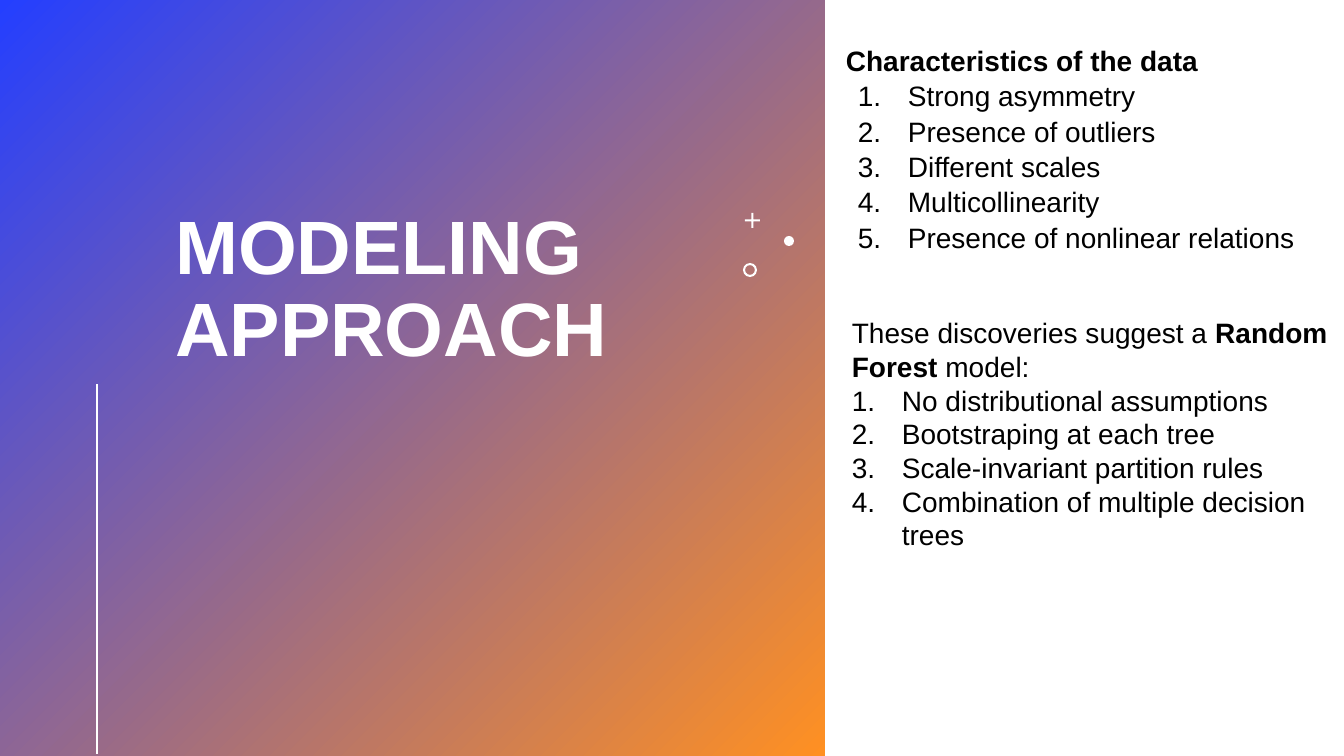
import pptx
import pptx.util
import pptx.dml.color
import pptx.enum.shapes
import pptx.enum.text
import pptx.oxml
import pptx.oxml.ns

SCALE = 914400 / 100.8
FONT = "Arial"
COLOURS = {"blue": "243FFF", "orange": "FF9022", "white": "FFFFFF", "black": "000000"}
SHAPES = pptx.enum.shapes.MSO_SHAPE


def px(length):
    return pptx.util.Emu(round(length * SCALE))


def colour(name):
    return pptx.dml.color.RGBColor.from_string(COLOURS[name])


class Painter:
    def __init__(self, deck):
        self.page = deck.slides.add_slide(deck.slide_layouts[5])

    def add_span(self, para, text, size, ink, bold=False):
        span = para.add_run()
        span.text = text
        span.font.name = FONT
        span.font.size = pptx.util.Pt(size)
        span.font.bold = bold
        span.font.color.rgb = colour(ink)

    def number(self, para, indent, hanging):
        properties = para._p.get_or_add_pPr()
        properties.set("marL", str(px(indent)))
        properties.set("indent", str(-px(hanging)))
        for tag, attribute, value in (("a:buFont", "typeface", "+mj-lt"),
                                      ("a:buAutoNum", "type", "arabicPeriod")):
            bullet = pptx.oxml.parse_xml(f"<{tag} {pptx.oxml.ns.nsdecls('a')}/>")
            bullet.set(attribute, value)
            properties.append(bullet)

    def title(self, text, left, top, width, height):
        box = self.page.shapes.title
        box.left, box.top, box.width, box.height = map(px, (left, top, width, height))
        frame = box.text_frame
        frame.word_wrap = True
        frame.auto_size = pptx.enum.text.MSO_AUTO_SIZE.NONE
        frame.vertical_anchor = pptx.enum.text.MSO_ANCHOR.BOTTOM
        para = frame.paragraphs[0]
        para.alignment = pptx.enum.text.PP_ALIGN.LEFT
        para.line_spacing = 0.9
        self.add_span(para, text, 54, "white", True)

    def shape(self, kind, left, top, width, height, adjustment=None):
        item = self.page.shapes.add_shape(kind, *map(px, (left, top, width, height)))
        item.shadow.inherit = False
        item.line.fill.background()
        item.fill.solid()
        item.fill.fore_color.rgb = colour("white")
        if adjustment is not None:
            item.adjustments[0] = adjustment
        return item

    def gradient_panel(self, left, top, width, height, start, end):
        panel = self.shape(SHAPES.RECTANGLE, left, top, width, height)
        panel.fill.gradient()
        panel.fill.gradient_angle = 315
        for stop, position, name in zip(panel.fill.gradient_stops, (0, 1), (start, end)):
            stop.position = position
            stop.color.rgb = colour(name)
        self.page.shapes.title._element.addprevious(panel._element)

    def line(self, left, top, right, bottom):
        rule = self.page.shapes.add_connector(
            pptx.enum.shapes.MSO_CONNECTOR.STRAIGHT, *map(px, (left, top, right, bottom)))
        rule.line.color.rgb = colour("white")
        rule.line.width = pptx.util.Pt(2)
        rule._element.spPr.append(pptx.oxml.parse_xml(
            f"<a:effectLst {pptx.oxml.ns.nsdecls('a')}/>"))

    def numbered_text(self, left, top, width, height, heading, items, indent,
                      spacing=None, after=None):
        box = self.page.shapes.add_textbox(*map(px, (left, top, width, height)))
        frame = box.text_frame
        frame.word_wrap = True
        for index, spans in enumerate([heading] + [[(item, False)] for item in items]):
            para = frame.add_paragraph() if index else frame.paragraphs[0]
            if spacing:
                para.line_spacing = spacing
                para.space_after = pptx.util.Pt(after)
            if index:
                self.number(para, indent, 50)
            for text, bold in spans:
                self.add_span(para, text, 20, "black", bold)


def main():
    deck = pptx.Presentation()
    deck.slide_width, deck.slide_height = px(1344), px(756)
    painter = Painter(deck)
    painter.gradient_panel(0, 0, 825, 756, "blue", "orange")
    painter.title("MODELING APPROACH", 165, 66, 566, 312)
    painter.shape(SHAPES.CROSS, 745, 213, 15, 15, 0.43)
    painter.shape(SHAPES.OVAL, 784, 236, 10, 10)
    painter.shape(SHAPES.DONUT, 743, 263, 14, 14, 0.15)
    painter.line(97, 384, 97, 754)
    painter.numbered_text(
        836, 45, 489, 246,
        [("Characteristics of the data", True)],
        ["Strong asymmetry", "Presence of outliers", "Different scales",
         "Multicollinearity", "Presence of nonlinear relations"],
        62, 0.8, 6)
    painter.numbered_text(
        842, 311, 502, 248,
        [("These discoveries suggest a ", False), ("Random Forest ", True), ("model:", False)],
        ["No distributional assumptions", "Bootstraping at each tree",
         "Scale-invariant partition rules", "Combination of multiple decision trees"],
        50)
    deck.save("out.pptx")


if __name__ == "__main__":
    main()
